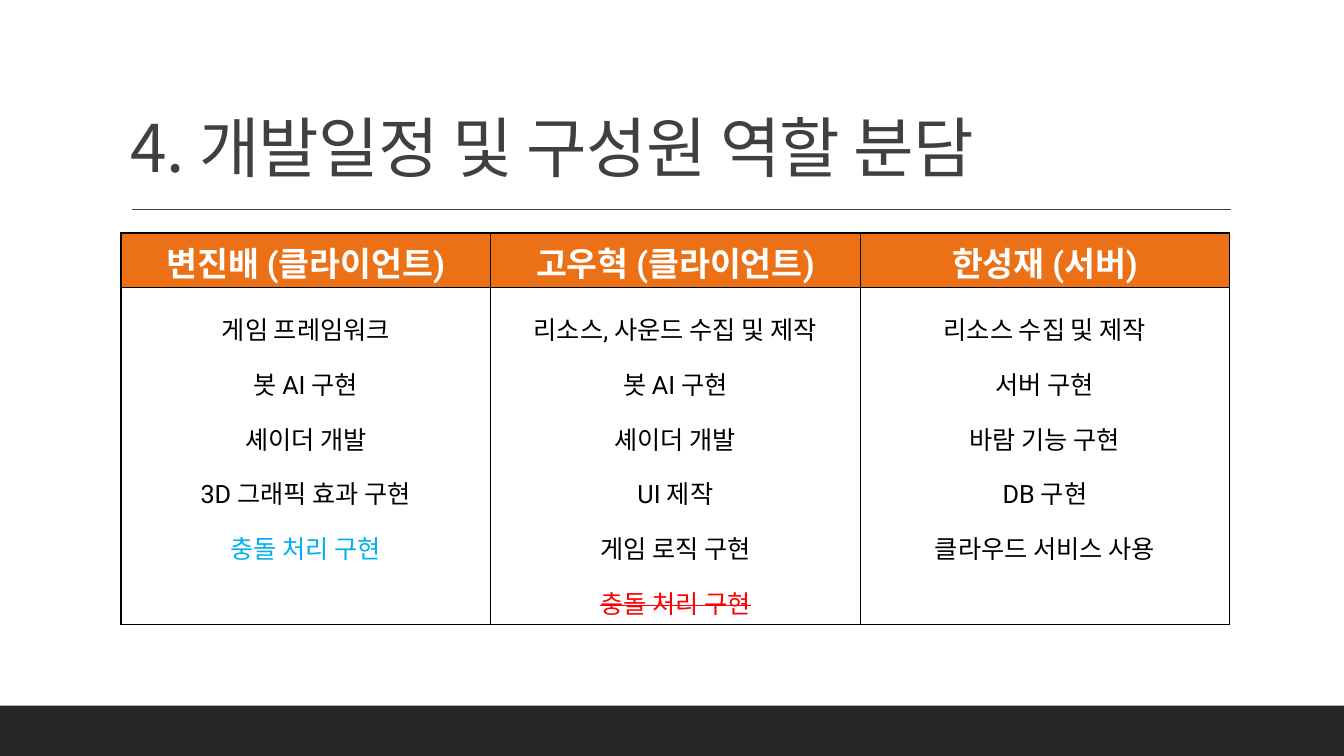
from lxml import etree
from pptx import Presentation, util as u
from pptx.dml.color import RGBColor
from pptx.enum import shapes, text
from pptx.oxml.ns import qn

COLORS = {
    "dark": "262626", "title": "404040", "orange": "EC7016", "white": "FFFFFF",
    "black": "000000", "blue": "00B0F0", "red": "FF0000",
}
KOREAN = "Noto Sans CJK KR"
TITLE = "4. 개발일정 및 구성원 역할 분담"
MEMBERS = [
    ("변진배 (클라이언트)",
     ["게임 프레임워크", "봇 AI 구현", "셰이더 개발", "3D 그래픽 효과 구현", "충돌 처리 구현"]),
    ("고우혁 (클라이언트)",
     ["리소스, 사운드 수집 및 제작", "봇 AI 구현", "셰이더 개발", "UI 제작", "게임 로직 구현",
      "충돌 처리 구현"]),
    ("한성재 (서버)",
     ["리소스 수집 및 제작", "서버 구현", "바람 기능 구현", "DB 구현", "클라우드 서비스 사용"]),
]
TITLE_FONT = {"size": u.Pt(47), "name": KOREAN}
HEAD_FONT = {"size": u.Pt(24), "name": "Roboto", "bold": True}
TASK_FONT = {"size": u.Pt(18), "name": "Roboto", "bold": False}
CENTERED = {"alignment": text.PP_ALIGN.CENTER}
TASK_LINE = {**CENTERED, "line_spacing": 1.5}
HIGHLIGHTS = {
    (0, 4): ("blue", {}),
    (1, 5): ("red", {"strike": "sngStrike"}),
}


def rgb(name):
    return RGBColor.from_string(COLORS[name])


def apply(obj, values):
    for key, value in values.items():
        setattr(obj, key, value)


def write(p, content, font, color, para, extra=None):
    apply(p, para)
    r = p.add_run()
    r.text = content
    apply(r.font, font)
    r.font.color.rgb = rgb(color)
    rPr = r.font._element
    etree.SubElement(rPr, qn("a:ea")).set("typeface", KOREAN)
    for key, value in (extra or {}).items():
        rPr.set(key, value)


def add_borders(cell):
    tcPr = cell._tc.get_or_add_tcPr()
    for i, side in enumerate(("lnL", "lnR", "lnT", "lnB")):
        ln = etree.Element(qn("a:" + side), w=str(u.Pt(1)))
        fill = etree.SubElement(ln, qn("a:solidFill"))
        etree.SubElement(fill, qn("a:srgbClr")).set("val", COLORS["black"])
        tcPr.insert(i, ln)


def add_footer(s, x, y, w, h):
    sp = s.shapes.add_shape(shapes.MSO_SHAPE.RECTANGLE, x, y, w, h)
    sp.shadow.inherit = False
    sp.fill.solid()
    sp.fill.fore_color.rgb = rgb("dark")
    sp.line.fill.background()


def add_title(s, x, y, w, h):
    sp = s.shapes.add_textbox(x, y, w, h)
    tf = sp.text_frame
    apply(tf, {"word_wrap": True, "vertical_anchor": text.MSO_ANCHOR.BOTTOM})
    write(tf.paragraphs[0], TITLE, TITLE_FONT, "title", {"line_spacing": 0.9}, {"spc": "-50"})
    rule_x, rule_y = x + u.Cm(0.28), y + h + u.Cm(0.45)
    rule = s.shapes.add_connector(
        shapes.MSO_CONNECTOR.STRAIGHT, rule_x, rule_y, rule_x + u.Cm(27.68), rule_y)
    rule.line.color.rgb = rgb("title")
    rule.line.width = u.Pt(1)
    etree.SubElement(rule._element.spPr, qn("a:effectLst"))


def add_roles(s, x, y, w, h):
    table = s.shapes.add_table(2, len(MEMBERS), x, y, w, h).table
    apply(table, {"first_row": False, "horz_banding": False})
    head_h = u.Cm(1.37)
    table.rows[0].height = head_h
    table.rows[1].height = h - head_h
    for col, (member, tasks) in enumerate(MEMBERS):
        head, body = table.cell(0, col), table.cell(1, col)
        for cell, color in ((head, "orange"), (body, "white")):
            cell.fill.solid()
            cell.fill.fore_color.rgb = rgb(color)
            add_borders(cell)
        write(head.text_frame.paragraphs[0], member, HEAD_FONT, "white", CENTERED)
        tf = body.text_frame
        for i, task in enumerate(tasks):
            p = tf.add_paragraph() if i else tf.paragraphs[0]
            color, extra = HIGHLIGHTS.get((col, i), ("black", {}))
            write(p, task, TASK_FONT, color, TASK_LINE, extra)


def main():
    prs = Presentation()
    apply(prs, {"slide_width": u.Cm(33.87), "slide_height": u.Cm(19.05)})
    s = prs.slides.add_slide(prs.slide_layouts[6])
    left, width = u.Cm(3.05), u.Cm(27.94)
    add_footer(s, 0, u.Cm(17.78), prs.slide_width, u.Cm(1.27))
    add_title(s, left, u.Cm(0.79), width, u.Cm(4.04))
    add_roles(s, left, u.Cm(5.87), width, u.Cm(9.87))
    prs.save("out.pptx")


if __name__ == "__main__":
    main()
